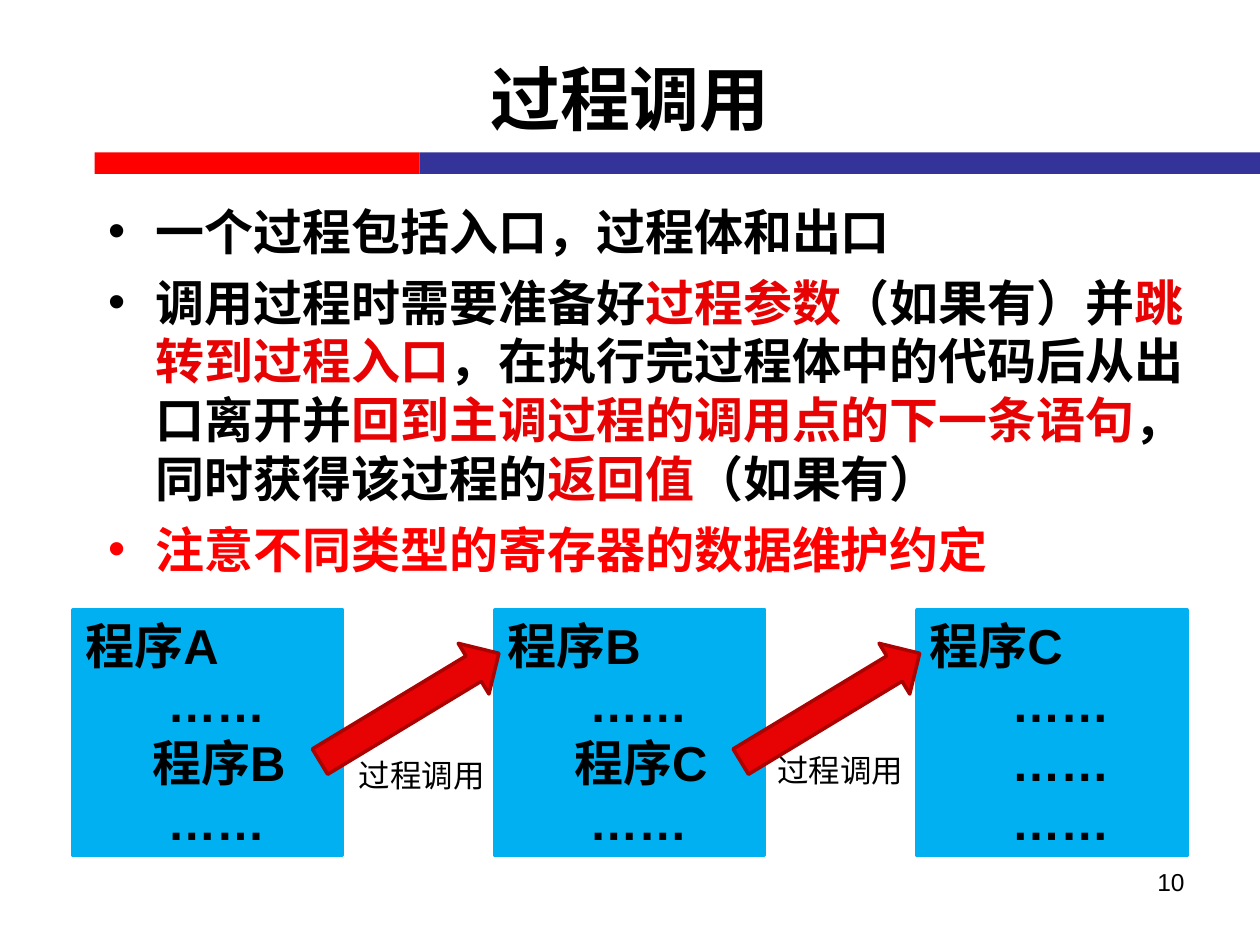
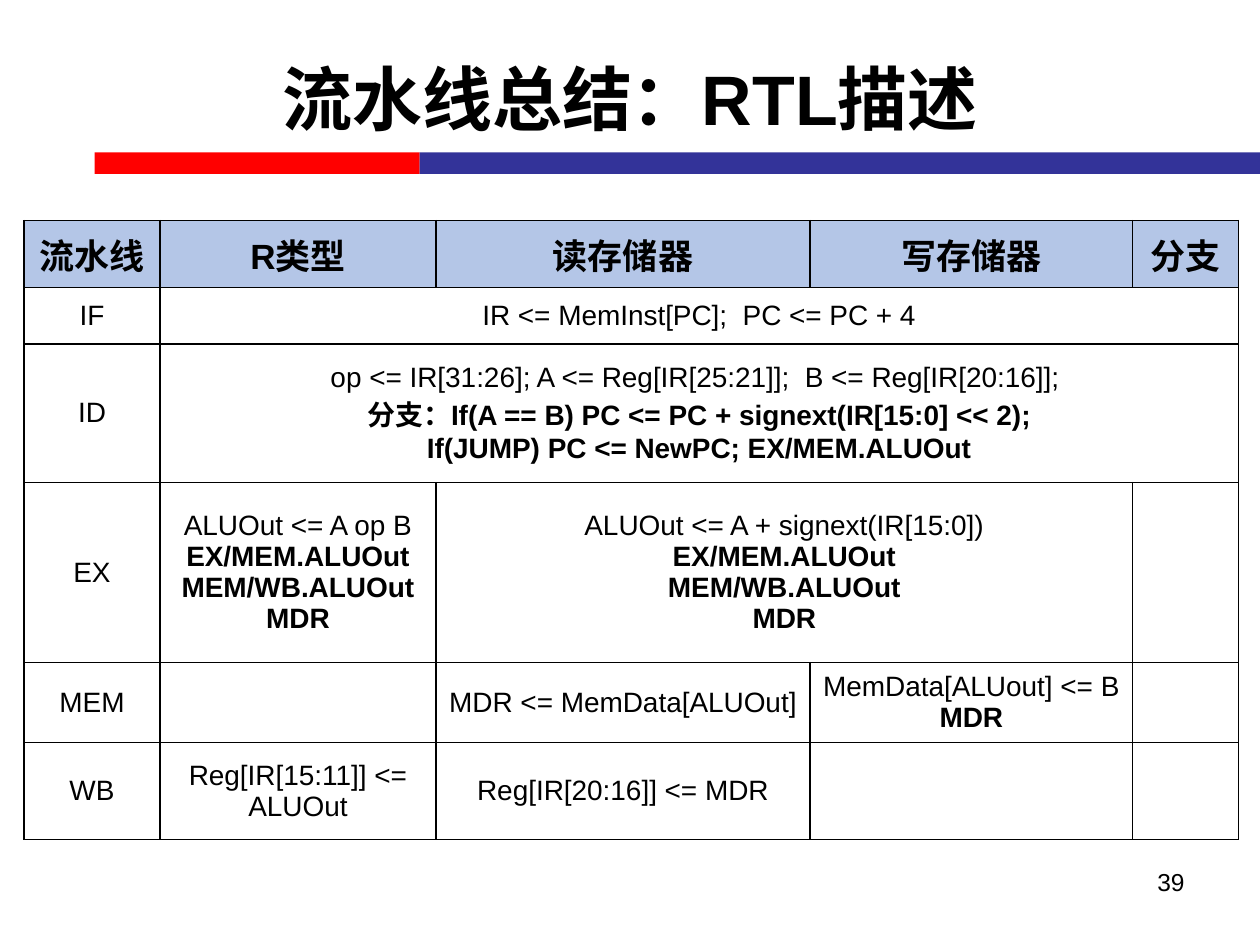
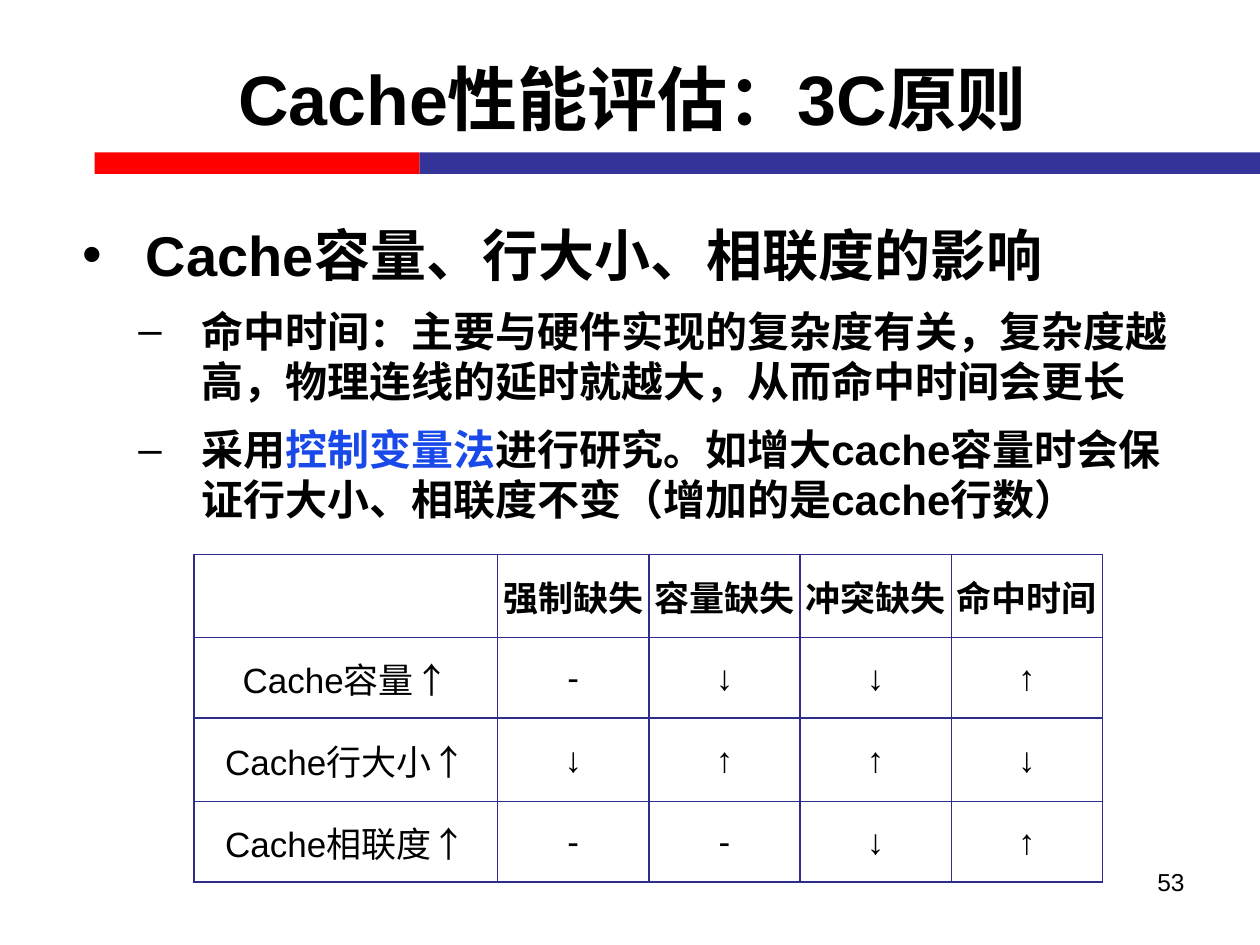
from dataclasses import dataclass
from typing import NamedTuple

from lxml.etree import SubElement
from pptx import Presentation
from pptx.dml.color import RGBColor
from pptx.enum.shapes import MSO_SHAPE as Preset
from pptx.enum.text import MSO_ANCHOR as Anchor, PP_ALIGN as Align
from pptx.oxml import parse_xml
from pptx.oxml.ns import nsdecls, qn
from pptx.util import Pt

PX = 9144
FONT = "Arial"
COLORS = {
    "ink": "000000",
    "band_red": "FF0000",
    "band_blue": "333399",
    "program": "00B0F0",
    "accent": "E70303",
    "arrow_edge": "AB0202",
    "blue": "1A49EA",
    "header": "B4C6E7",
    "grid": "2D2D8A",
}


class Area(NamedTuple):
    left: int
    top: int
    width: int
    height: int

    def emu(self) -> tuple[int, ...]:
        return tuple(length * PX for length in self)


class Margins(NamedTuple):
    left: int
    top: int
    right: int
    bottom: int


class Span(NamedTuple):
    text: str
    color: str = "ink"


@dataclass(frozen=True)
class Line:
    spans: tuple[Span, ...]
    size: int
    bold: bool = False
    align: Align = Align.LEFT
    indent: int = 0
    hang: int = 0
    before: float = 0
    bullet: str = ""


@dataclass(frozen=True)
class Entry:
    row: int
    column: int
    lines: tuple[Line, ...]
    columns: int = 1


@dataclass(frozen=True)
class Grid:
    left: int
    top: int
    widths: tuple[int, ...]
    heights: tuple[int, ...]
    border: str
    margins: Margins
    header: str = ""


@dataclass(frozen=True)
class Program:
    name: str
    calls: str = ""
    label_top: int = 0
    label_shift: int = 0


TITLE = Area(50, 15, 900, 125)
WIDE_TITLE = Area(16, 15, 972, 125)
BANDS = ((Area(75, 121, 258, 17), "band_red"), (Area(333, 121, 667, 17), "band_blue"))
PAGE_NUMBER = Area(717, 683, 233, 52)

PROGRAM = Area(58, 484, 214, 195)
PROGRAM_STEP = 335
ARROW = Area(242, 538, 166, 47)
ARROW_STEP = 334
ARROW_TURN = 328.8
DOTS = "……"
DOTS_INDENT = 65
CALL_INDENT = 53


def rgb(name: str) -> RGBColor:
    return RGBColor.from_string(COLORS[name])


def plain(text: str, size: int, bold: bool = False, align: Align = Align.LEFT, indent: int = 0) -> Line:
    return Line((Span(text),), size, bold, align, indent)


def centred(text: str, size: int, bold: bool = False) -> Line:
    return plain(text, size, bold, Align.CENTER)


def write(frame, lines: tuple[Line, ...]) -> None:
    for index, line in enumerate(lines):
        para = frame.add_paragraph() if index else frame.paragraphs[0]
        para.text = line.spans[0].text
        for span in line.spans[1:]:
            para.add_run().text = span.text
        properties = para._p.get_or_add_pPr()
        properties.set("marL", str(line.indent * PX))
        properties.set("indent", str(-line.hang * PX))
        if line.bullet:
            SubElement(properties, qn("a:buFont"), typeface=FONT)
            SubElement(properties, qn("a:buChar"), char=line.bullet)
        para.alignment = line.align
        if index and line.before:
            para.space_before = Pt(line.before)
        for run, span in zip(para.runs, line.spans):
            run.font.name = FONT
            run.font.size = Pt(line.size)
            run.font.bold = line.bold
            run.font.color.rgb = rgb(span.color)


def add_text(page, area: Area, *lines: Line, anchor: Anchor = Anchor.TOP) -> None:
    frame = page.shapes.add_textbox(*area.emu()).text_frame
    frame.word_wrap = True
    frame.vertical_anchor = anchor
    write(frame, lines)


def add_block(page, preset: Preset, area: Area, fill: str, edge: str = ""):
    block = page.shapes.add_shape(preset, *area.emu())
    block.shadow.inherit = False
    block.fill.solid()
    block.fill.fore_color.rgb = rgb(fill)
    if edge:
        block.line.color.rgb = rgb(edge)
        block.line.width = Pt(2)
    else:
        block.line.fill.background()
    return block


def add_page(deck, title: str, number: int, title_area: Area = TITLE):
    page = deck.slides.add_slide(deck.slide_layouts[6])
    for area, color in BANDS:
        add_block(page, Preset.RECTANGLE, area, color)
    add_text(page, title_area, centred(title, 40, True), anchor=Anchor.MIDDLE)
    add_text(page, PAGE_NUMBER, plain(str(number), 14, align=Align.RIGHT))
    return page


def outline(cell, color: str) -> None:
    properties = cell._tc.get_or_add_tcPr()
    for index, side in enumerate(("lnL", "lnR", "lnT", "lnB")):
        properties.insert(index, parse_xml(
            f'<a:{side} {nsdecls("a")} w="12700"><a:solidFill>'
            f'<a:srgbClr val="{COLORS[color]}"/></a:solidFill></a:{side}>'
        ))


def add_grid(page, grid: Grid, entries: list[Entry]) -> None:
    area = Area(grid.left, grid.top, sum(grid.widths), sum(grid.heights))
    table = page.shapes.add_table(len(grid.heights), len(grid.widths), *area.emu()).table
    table.first_row = False
    table.horz_banding = False
    for column, width in zip(table.columns, grid.widths):
        column.width = width * PX
    for index, (row, height) in enumerate(zip(table.rows, grid.heights)):
        row.height = height * PX
        for cell in row.cells:
            cell.vertical_anchor = Anchor.MIDDLE
            cell.margin_left = grid.margins.left * PX
            cell.margin_top = grid.margins.top * PX
            cell.margin_right = grid.margins.right * PX
            cell.margin_bottom = grid.margins.bottom * PX
            if grid.header and index == 0:
                cell.fill.solid()
                cell.fill.fore_color.rgb = rgb(grid.header)
            else:
                cell.fill.background()
            outline(cell, grid.border)
    for entry in entries:
        cell = table.cell(entry.row, entry.column)
        if entry.columns > 1:
            cell.merge(table.cell(entry.row, entry.column + entry.columns - 1))
        write(cell.text_frame, entry.lines)


def add_program(page, index: int, program: Program) -> None:
    area = PROGRAM._replace(left=PROGRAM.left + index * PROGRAM_STEP)
    block = add_block(page, Preset.RECTANGLE, area, "program", "program")
    block.text_frame.vertical_anchor = Anchor.MIDDLE
    dots = plain(DOTS, 28, True, indent=DOTS_INDENT)
    call = plain(program.calls, 28, True, indent=CALL_INDENT) if program.calls else dots
    write(block.text_frame, (plain(program.name, 28, True), dots, call, dots))


def add_call(page, index: int, program: Program) -> None:
    area = ARROW._replace(left=ARROW.left + index * ARROW_STEP)
    arrow = add_block(page, Preset.RIGHT_ARROW, area, "accent", "arrow_edge")
    arrow.rotation = ARROW_TURN
    left = 275 + index * PROGRAM_STEP + program.label_shift
    add_text(page, Area(left, program.label_top, 122, 40), plain("过程调用", 18))


def build_calls(deck) -> None:
    page = add_page(deck, "过程调用", 10)
    programs = (
        Program("程序A", "程序B", 595),
        Program("程序B", "程序C", 591, -3),
        Program("程序C"),
    )
    for index, program in enumerate(programs):
        add_program(page, index, program)
    for index, program in enumerate(programs[:-1]):
        add_call(page, index, program)
    points = (
        (Span("一个过程包括入口，过程体和出口"),),
        (
            Span("调用过程时需要准备好"),
            Span("过程参数", "accent"),
            Span("（如果有）并"),
            Span("跳转到过程入口", "accent"),
            Span("，在执行完过程体中的代码后从出口离开并"),
            Span("回到主调过程的调用点的下一条语句", "accent"),
            Span("，同时获得该过程的"),
            Span("返回值", "accent"),
            Span("（如果有）"),
        ),
        (Span("注意不同类型的寄存器的数据维护约定", "band_red"),),
    )
    lines = [Line(spans, 28, True, indent=38, hang=38, before=6.7, bullet="•") for spans in points]
    add_text(page, Area(76, 155, 874, 312), *lines)


def build_pipeline(deck) -> None:
    page = add_page(deck, "流水线总结：RTL描述", 39)
    grid = Grid(19, 175, (108, 219, 297, 256, 84), (53, 45, 110, 143, 49, 77),
                "ink", Margins(8, 5, 8, 5), "header")
    headings = ("流水线", "R类型", "读存储器", "写存储器", "分支")
    stages = ("IF", "ID", "EX", "MEM", "WB")
    forwards = tuple(centred(name, 16, True) for name in ("EX/MEM.ALUOut", "MEM/WB.ALUOut", "MDR"))
    entries = [Entry(0, column, (centred(text, 20, True),)) for column, text in enumerate(headings)]
    entries += [Entry(row, 0, (centred(text, 16),)) for row, text in enumerate(stages, 1)]
    entries += [
        Entry(1, 1, (centred("IR <= MemInst[PC];  PC <= PC + 4", 16),), 4),
        Entry(2, 1, (
            centred("op <= IR[31:26]; A <= Reg[IR[25:21]];  B <= Reg[IR[20:16]]; ", 16),
            centred("分支：If(A == B) PC <= PC + signext(IR[15:0] << 2);", 16, True),
            centred("If(JUMP) PC <= NewPC; EX/MEM.ALUOut", 16, True),
        ), 4),
        Entry(3, 1, (centred("ALUOut <= A op B", 16), *forwards)),
        Entry(3, 2, (centred("ALUOut <= A + signext(IR[15:0])", 16), *forwards), 2),
        Entry(4, 2, (centred("MDR <= MemData[ALUOut]", 16),)),
        Entry(4, 3, (centred("MemData[ALUout] <= B", 16), forwards[-1])),
        Entry(5, 1, (centred("Reg[IR[15:11]] <= ALUOut", 16),)),
        Entry(5, 2, (centred("Reg[IR[20:16]] <= MDR", 16),)),
    ]
    add_grid(page, grid, entries)


def build_cache(deck) -> None:
    page = add_page(deck, "Cache性能评估：3C原则", 53, WIDE_TITLE)
    grid = Grid(154, 440, (241, 120, 120, 120, 120), (66, 64, 66, 64), "grid", Margins(1, 1, 1, 0))
    effects = (
        ("", "强制缺失", "容量缺失", "冲突缺失", "命中时间"),
        ("Cache容量↑", "-", "↓", "↓", "↑"),
        ("Cache行大小↑", "↓", "↑", "↑", "↓"),
        ("Cache相联度↑", "-", "-", "↓", "↑"),
    )
    add_grid(page, grid, [
        Entry(row, column, (centred(text, 20, row == 0),))
        for row, texts in enumerate(effects)
        for column, text in enumerate(texts)
        if text
    ])
    details = (
        (Span("命中时间：主要与硬件实现的复杂度有关，复杂度越高，物理连线的延时就越大，从而命中时间会更长"),),
        (
            Span("采用"),
            Span("控制变量法", "blue"),
            Span("进行研究。如增大cache容量时会保证行大小、相联度不变（增加的是cache行数）"),
        ),
    )
    add_text(
        page,
        Area(50, 170, 911, 247),
        Line((Span("Cache容量、行大小、相联度的影响"),), 32, True, indent=56, hang=50, bullet="•"),
        *(Line(spans, 24, True, indent=100, hang=50, before=10, bullet="–") for spans in details),
    )


def main() -> None:
    deck = Presentation()
    deck.slide_width = 1000 * PX
    deck.slide_height = 750 * PX
    build_calls(deck)
    build_pipeline(deck)
    build_cache(deck)
    deck.save("out.pptx")


if __name__ == "__main__":
    main()
